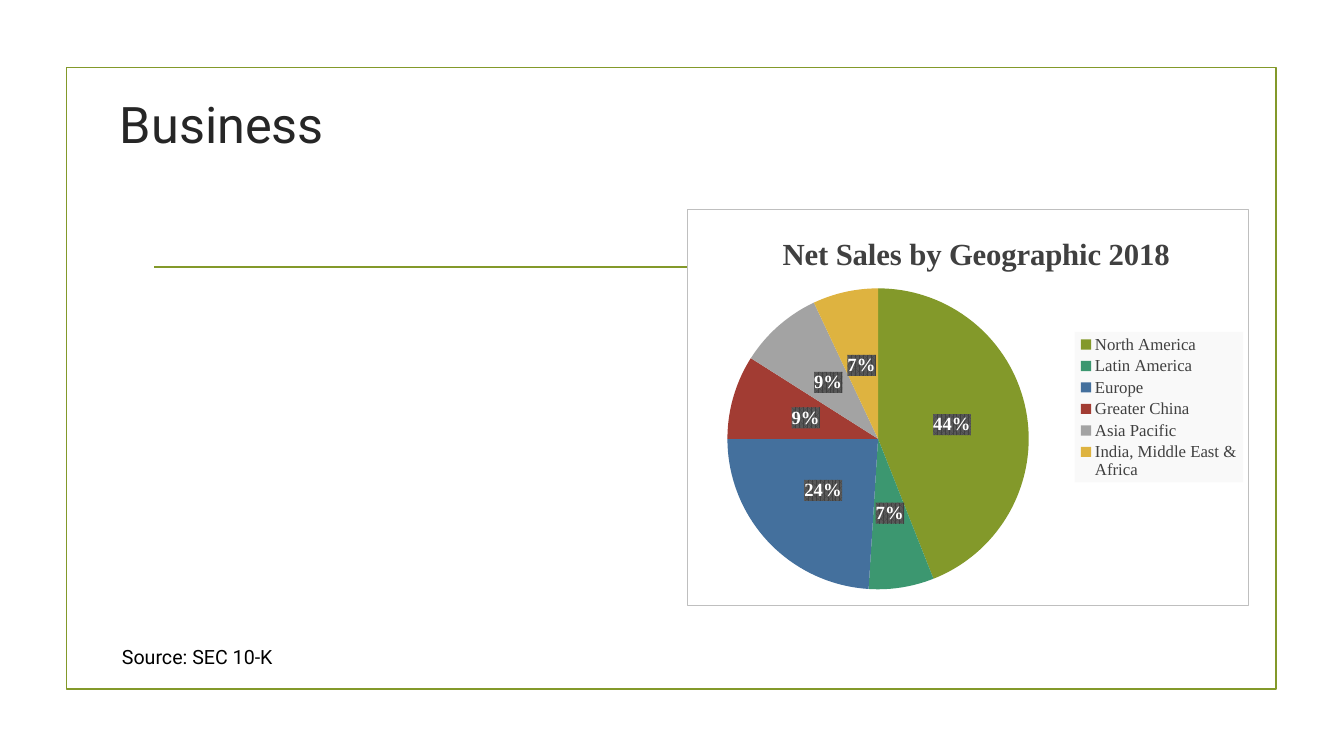
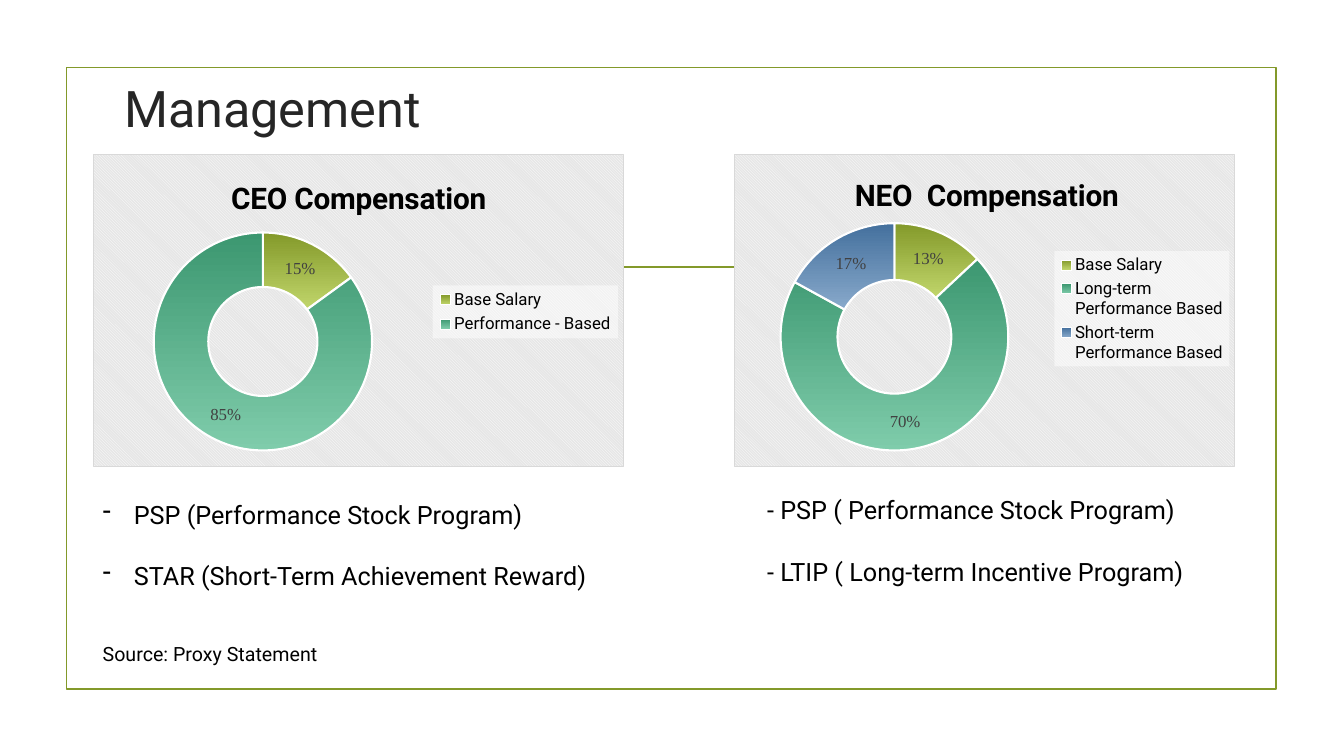
from dataclasses import dataclass

from lxml import etree
from pptx import Presentation
from pptx.chart.data import CategoryChartData
from pptx.dml.color import RGBColor
from pptx.enum.chart import XL_CHART_TYPE, XL_LABEL_POSITION, XL_LEGEND_POSITION
from pptx.enum.shapes import MSO_CONNECTOR, MSO_SHAPE
from pptx.enum.text import MSO_ANCHOR
from pptx.oxml import parse_xml
from pptx.oxml.ns import nsdecls, qn
from pptx.util import Inches, Pt

PIE, RING = XL_CHART_TYPE.PIE, XL_CHART_TYPE.DOUGHNUT
CENTER, RIGHT = XL_LABEL_POSITION.CENTER, XL_LEGEND_POSITION.RIGHT
STRAIGHT, RECT = MSO_CONNECTOR.STRAIGHT, MSO_SHAPE.RECTANGLE
MIDDLE, TOP = MSO_ANCHOR.MIDDLE, MSO_ANCHOR.TOP
WIDE, HIGH = Inches(13.33), Inches(7.5)


@dataclass(frozen=True)
class Theme:
    sans: str = "Roboto"
    serif: str = "Times New Roman"
    ink: str = "000000"
    title: str = "262626"
    soft: str = "404040"
    white: str = "FFFFFF"
    green: str = "83992A"
    slices: tuple = ("83992A", "3C9770", "44709D", "A23C33", "A3A3A3", "DEB340")
    tints: tuple = ("C1D66B", "7FCCAB", "88A9CB")
    head: float = 36
    body: float = 18
    note: float = 14
    key: float = 12
    base: float = 10
    rule: float = 1.25


T = Theme()

FRAME = (4.95, 8.93, 90.02, 82.27)
RULE = (11.48, 35.33, 88.6, 35.33)

PIE_LOOK = dict(
    kind=PIE, title_font=(T.serif, 22, T.soft, True),
    key_font=(T.serif, T.key, T.soft), mark_font=(T.serif, 13.3, T.white, True),
    fill=("solid", T.white, 100), edge="BFBFBF",
    key_fill=("solid", "F2F2F2", 39), mark_fill=("pct75", T.soft, "595959"),
)
RING_LOOK = dict(
    kind=RING, title_font=(T.sans, 21.3, T.ink, True),
    key_font=(T.sans, T.key, T.ink), mark_font=(T.serif, T.key, T.soft),
    fill=("dkDnDiag", T.white, "E6E6E6"), edge="D9D9D9",
    key_fill=("solid", T.white, 50), mark_fill=None,
)

SLIDES = [
    dict(
        title=("Business", (8.18, 6.27, 60, 20)),
        charts=[dict(
            look=PIE_LOOK, box=(51.09, 27.6, 41.86, 52.53),
            name="Net Sales by Geographic 2018",
            data=[("North America", 44), ("Latin America", 7), ("Europe", 24),
                  ("Greater China", 9), ("Asia Pacific", 9),
                  ("India, Middle East & Africa", 7)],
            spots=dict(title=(0.16, 0.05), plotArea=(0.07, 0.2, 0.54, 0.76),
                       legend=(0.69, 0.31, 0.3, 0.38)),
        )],
        notes=[],
        source=("Source: SEC 10-K", (8.33, 84.67, 75.92, 4.53)),
    ),
    dict(
        title=("Management", (8.5, 4.27, 60, 20)),
        charts=[
            dict(
                look=RING_LOOK, box=(6.9, 20.4, 39.53, 41.33),
                name="CEO Compensation",
                data=[("Base Salary", 15), ("Performance - Based", 85)],
                spots=dict(title=(0.25, 0.06), plotArea=(0.11, 0.25, 0.42, 0.7),
                           legend=(0.64, 0.42, 0.35, 0.17)),
            ),
            dict(
                look=RING_LOOK, box=(54.61, 20.4, 37.28, 41.33),
                name="NEO  Compensation",
                data=[("Base Salary", 13), ("Long-term Performance Based", 70),
                      ("Short-term Performance Based", 17)],
                spots=dict(title=(0.23, 0.05), plotArea=(0.09, 0.22, 0.46, 0.73),
                           legend=(0.64, 0.31, 0.35, 0.37)),
            ),
        ],
        notes=[
            (["PSP (Performance Stock Program)",
              "STAR (Short-Term Achievement Reward)"],
             (6.9, 65.33, 38.33, 17.47), True),
            (["- PSP ( Performance Stock Program)",
              "- LTIP ( Long-term Incentive Program)"],
             (56.34, 64.8, 33.83, 13.47), False),
        ],
        source=("Source: Proxy Statement", (6.9, 84.27, 75.92, 4.53)),
    ),
]


def scale(box):
    return [int(n * side / 100) for n, side in zip(box, (WIDE, HIGH) * 2)]


def rgb(code):
    return RGBColor.from_string(code)


def style(font, face, size, color, bold=False):
    font.name, font.size, font.bold = face, Pt(size), bold
    font.color.rgb = rgb(color)


def stroke(line, color, width):
    line.color.rgb = rgb(color)
    line.width = Pt(width)


def bullet(para):
    props = para._p.get_or_add_pPr()
    props.set("marL", str(Inches(0.31)))
    props.set("indent", str(-Inches(0.31)))
    etree.SubElement(props, qn("a:buChar")).set("char", "-")


def write(slide, lines, box, size, color=T.ink, anchor=TOP, dash=False, gap=0):
    frame = slide.shapes.add_textbox(*scale(box)).text_frame
    frame.word_wrap = True
    frame.vertical_anchor = anchor
    frame.text = "\n".join(lines)
    for para in frame.paragraphs:
        style(para.font, T.sans, size, color)
        para.space_after = Pt(gap)
        if dash:
            bullet(para)


def paint(node, fill, edge=None):
    kind, front, back = fill
    if kind == "solid":
        body = (f'<a:solidFill><a:srgbClr val="{front}">'
                f'<a:alpha val="{back * 1000}"/></a:srgbClr></a:solidFill>')
    else:
        body = (f'<a:pattFill prst="{kind}"><a:fgClr><a:srgbClr val="{front}"/></a:fgClr>'
                f'<a:bgClr><a:srgbClr val="{back}"/></a:bgClr></a:pattFill>')
    line = "<a:noFill/>"
    if edge:
        line = f'<a:solidFill><a:srgbClr val="{edge}"/></a:solidFill>'
    node.addprevious(parse_xml(
        f'<c:spPr {nsdecls("c", "a")}>{body}<a:ln w="{Pt(0.75)}">{line}</a:ln></c:spPr>'))


def place(node, spot):
    for old in node.findall(qn("c:layout")):
        node.remove(old)
    layout = etree.Element(qn("c:layout"))
    manual = etree.SubElement(layout, qn("c:manualLayout"))
    parts = [("xMode", "edge"), ("yMode", "edge"), *zip("xywh", spot)]
    if node.tag == qn("c:plotArea"):
        parts.insert(0, ("layoutTarget", "inner"))
    for tag, value in parts:
        etree.SubElement(manual, qn(f"c:{tag}")).set("val", str(value))
    node.insert(0 if node.tag == qn("c:plotArea") else 1, layout)


def shade(series, count, ring):
    for i in range(count):
        form = series.points[i].format
        if ring:
            form.fill.gradient()
            form.fill.gradient_angle = 270
            for stop, color in zip(form.fill.gradient_stops, (T.slices[i], T.tints[i])):
                stop.color.rgb = rgb(color)
            stroke(form.line, T.white, 1.5)
        else:
            form.fill.solid()
            form.fill.fore_color.rgb = rgb(T.slices[i])
            form.line.fill.background()


def draw(slide, look, box, name, data, spots):
    ring = look["kind"] == RING
    table = CategoryChartData()
    table.categories = [label for label, _ in data]
    table.add_series(name, [value for _, value in data])
    chart = slide.shapes.add_chart(look["kind"], *scale(box), table).chart
    style(chart.font, T.serif, T.base, T.ink)
    chart.has_title = True
    chart.chart_title.text_frame.text = name
    style(chart.chart_title.text_frame.paragraphs[0].font, *look["title_font"])
    chart.has_legend = True
    chart.legend.position = RIGHT
    chart.legend.include_in_layout = False
    style(chart.legend.font, *look["key_font"])

    plot = chart.plots[0]
    plot.vary_by_categories = True
    series = plot.series[0]
    shade(series, len(data), ring)
    marks = series.data_labels
    marks.show_percentage, marks.show_value = True, False
    marks.number_format, marks.number_format_is_linked = "0%", False
    style(marks.font, *look["mark_font"])
    if not ring:
        marks.position = CENTER

    root = chart._chartSpace
    paint(root.xpath("c:txPr")[0], look["fill"], look["edge"])
    paint(root.xpath(".//c:legend/c:txPr")[0], look["key_fill"])
    if look["mark_fill"]:
        paint(root.xpath(".//c:ser/c:dLbls/c:txPr")[0], look["mark_fill"])
    for hole in root.xpath(".//c:holeSize"):
        hole.set("val", "70")
    for tag, spot in spots.items():
        place(root.xpath(f"c:chart//c:{tag}")[0], spot)


def deck(slide):
    frame = slide.shapes.add_shape(RECT, *scale(FRAME))
    frame.shadow.inherit = False
    frame.fill.background()
    stroke(frame.line, T.green, T.rule)
    rule = slide.shapes.add_connector(STRAIGHT, *scale(RULE))
    stroke(rule.line, T.green, T.rule)
    etree.SubElement(rule._element.spPr, qn("a:effectLst"))


def main():
    show = Presentation()
    show.slide_width, show.slide_height = WIDE, HIGH
    for page in SLIDES:
        slide = show.slides.add_slide(show.slide_layouts[6])
        deck(slide)
        text, box = page["title"]
        write(slide, [text], box, T.head, T.title, MIDDLE)
        for chart in page["charts"]:
            draw(slide, **chart)
        text, box = page["source"]
        write(slide, [text], box, T.note)
        for lines, box, dash in page["notes"]:
            write(slide, lines, box, T.body, dash=dash, gap=22)
    show.save("out.pptx")


if __name__ == "__main__":
    main()
